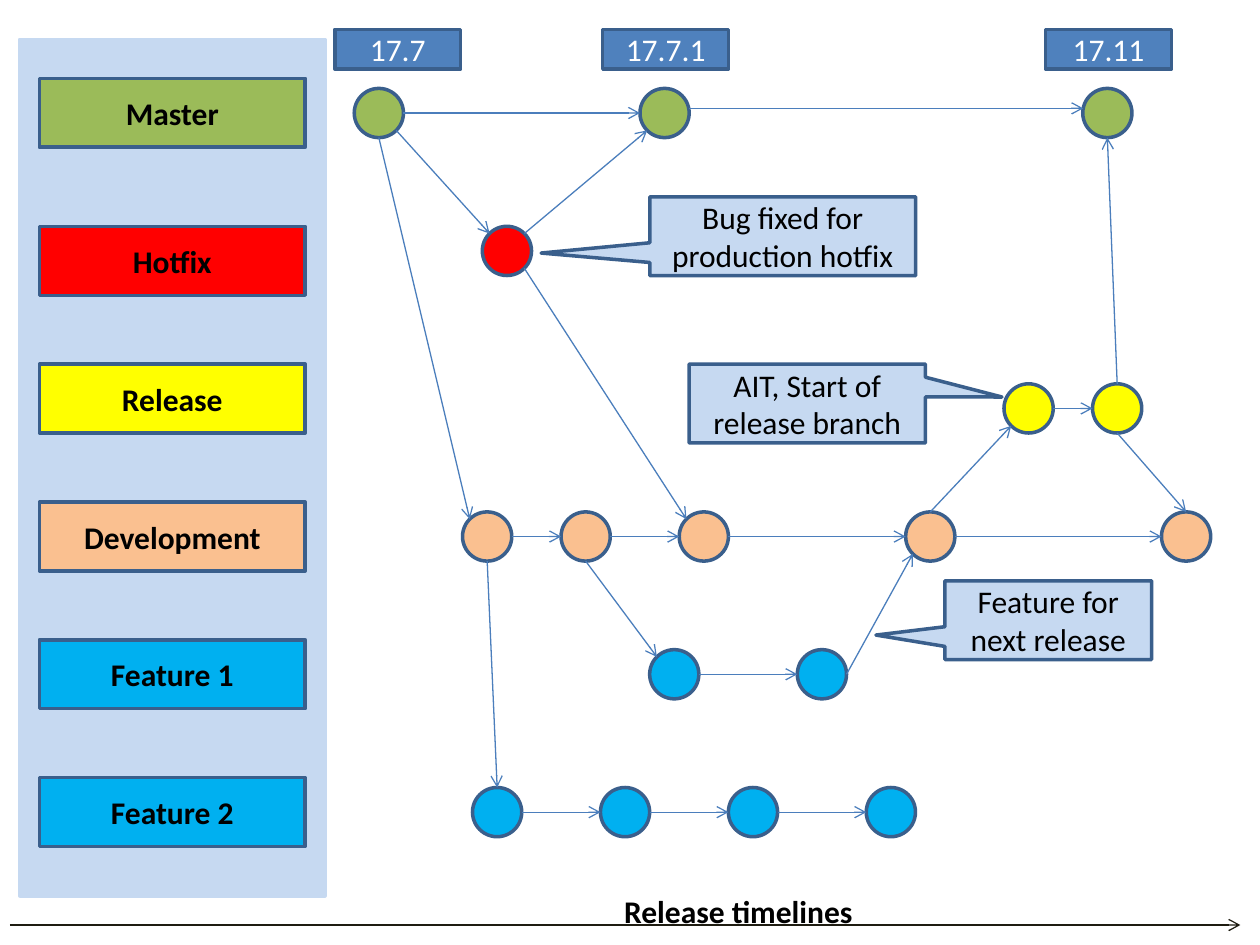
"""Build a release branching diagram with its branches, commits and timeline."""
from dataclasses import dataclass
from itertools import pairwise
from math import cos, radians, sin
from typing import NamedTuple

from lxml.etree import SubElement
from pptx import Presentation
from pptx.dml.color import RGBColor
from pptx.enum.shapes import MSO_CONNECTOR, MSO_SHAPE
from pptx.enum.text import MSO_ANCHOR, PP_ALIGN
from pptx.oxml.ns import qn
from pptx.util import Pt

BLACK = RGBColor(0x00, 0x00, 0x00)
WHITE = RGBColor(0xFF, 0xFF, 0xFF)
PALE_BLUE = RGBColor(0xC6, 0xD9, 0xF1)
GREEN = RGBColor(0x9B, 0xBB, 0x59)
RED = RGBColor(0xFF, 0x00, 0x00)
YELLOW = RGBColor(0xFF, 0xFF, 0x00)
ORANGE = RGBColor(0xFA, 0xC0, 0x90)
SKY = RGBColor(0x00, 0xB0, 0xF0)
BLUE = RGBColor(0x4F, 0x81, 0xBD)
OUTLINE = RGBColor(0x3A, 0x5F, 0x8C)
ARROW = RGBColor(0x4B, 0x7E, 0xBC)
TIMELINE = RGBColor(0x1E, 0x1C, 0x11)

RADIUS = 14.06
TOP, TOP_RIGHT, RIGHT, BOTTOM_RIGHT = 270, 315, 0, 45
BOTTOM, BOTTOM_LEFT, LEFT, TOP_LEFT = 90, 135, 180, 225


class Point(NamedTuple):
    x: float
    y: float


class Area(NamedTuple):
    left: float
    top: float
    width: float
    height: float


@dataclass(frozen=True)
class Branch:
    name: str
    color: RGBColor
    label_top: float
    center_y: float
    commits: tuple[float, ...]
    lifts: tuple[int, ...] = ()


class Link(NamedTuple):
    source: tuple[str, int]
    source_angle: float
    target: tuple[str, int]
    target_angle: float


class Callout(NamedTuple):
    text: str
    area: Area
    tip: tuple[float, float]


BRANCHES = (
    Branch("Master", GREEN, 44.8, 64.6, (216.5, 379.8, 632.8), (0, 11)),
    Branch("Hotfix", RED, 129.4, 143.4, (289.7,)),
    Branch("Release", YELLOW, 208.1, 233.4, (587.8, 638.4)),
    Branch("Development", ORANGE, 286.9, 306.6, (278.4, 334.7, 402.2, 531.6, 677.8)),
    Branch("Feature 1", SKY, 365.6, 385.3, (385.3, 469.7)),
    Branch("Feature 2", SKY, 444.4, 464.1, (284.1, 357.2, 430.3, 509.1)),
)
LINKS = (
    Link(("Master", 0), BOTTOM, ("Development", 0), TOP_LEFT),
    Link(("Master", 0), BOTTOM_RIGHT, ("Hotfix", 0), TOP_LEFT),
    Link(("Hotfix", 0), BOTTOM_RIGHT, ("Development", 2), TOP_LEFT),
    Link(("Hotfix", 0), TOP_RIGHT, ("Master", 1), BOTTOM_LEFT),
    Link(("Development", 3), TOP, ("Release", 0), BOTTOM_LEFT),
    Link(("Release", 1), TOP, ("Master", 2), BOTTOM),
    Link(("Release", 1), BOTTOM, ("Development", 4), TOP),
    Link(("Development", 0), BOTTOM, ("Feature 2", 0), TOP),
    Link(("Development", 1), BOTTOM, ("Feature 1", 0), TOP_LEFT),
    Link(("Feature 1", 1), RIGHT, ("Development", 3), BOTTOM_LEFT),
)
VERSIONS = {"17.7": 191.3, "17.7.1": 344.4, "17.11": 597.5}
CALLOUTS = (
    Callout("Bug fixed for production hotfix", Area(371.3, 112.5, 151.9, 45), (-0.909, 0.214)),
    Callout("Feature for next release", Area(540, 331.9, 118.1, 45), (-0.834, 0.189)),
    Callout("AIT, Start of release branch", Area(393.8, 208.1, 135, 45), (0.824, -0.082)),
)


def write_text(shape, text: str, color: RGBColor, bold: bool) -> None:
    frame = shape.text_frame
    frame.text = text
    frame.word_wrap = True
    frame.vertical_anchor = MSO_ANCHOR.MIDDLE
    para = frame.paragraphs[0]
    para.alignment = PP_ALIGN.CENTER
    font = para.runs[0].font
    font.name, font.size, font.bold = "Calibri", Pt(18), bold
    font.color.rgb = color


def draw_shape(page, kind: MSO_SHAPE, area: Area, fill: RGBColor, line: RGBColor = OUTLINE):
    shape = page.shapes.add_shape(kind, *map(Pt, area))
    shape.shadow.inherit = False
    shape.fill.solid()
    shape.fill.fore_color.rgb = fill
    shape.line.color.rgb = line
    shape.line.width = Pt(2)
    return shape


def draw_arrow(page, start: Point, end: Point, color: RGBColor = ARROW) -> None:
    arrow = page.shapes.add_connector(MSO_CONNECTOR.STRAIGHT, *map(Pt, (*start, *end)))
    arrow.line.color.rgb = color
    arrow.line.width = Pt(0.75)
    SubElement(arrow.line._get_or_add_ln(), qn("a:tailEnd"), type="arrow")
    SubElement(arrow._element.spPr, qn("a:effectLst"))


def rim(center: Point, angle: float) -> Point:
    turn = radians(angle)
    return Point(center.x + RADIUS * cos(turn), center.y + RADIUS * sin(turn))


def draw_branch(page, branch: Branch) -> list[Point]:
    label = draw_shape(page, MSO_SHAPE.RECTANGLE, Area(22.5, branch.label_top, 151.9, 39.4), branch.color)
    write_text(label, branch.name, BLACK, True)
    centers = [Point(x, branch.center_y) for x in branch.commits]
    for center in centers:
        area = Area(center.x - RADIUS, center.y - RADIUS, 2 * RADIUS, 2 * RADIUS)
        draw_shape(page, MSO_SHAPE.OVAL, area, branch.color)
    lifts = branch.lifts or (0,) * len(centers)
    for (start, end), lift in zip(pairwise(centers), lifts):
        draw_arrow(page, rim(start, RIGHT - lift), rim(end, LEFT + lift))
    return centers


def draw_callout(page, callout: Callout) -> None:
    box = draw_shape(page, MSO_SHAPE.RECTANGULAR_CALLOUT, callout.area, PALE_BLUE)
    box.adjustments[0], box.adjustments[1] = callout.tip
    write_text(box, callout.text, BLACK, False)


def main() -> None:
    deck = Presentation()
    deck.slide_width, deck.slide_height = Pt(720), Pt(540)
    page = deck.slides.add_slide(deck.slide_layouts[6])

    draw_shape(page, MSO_SHAPE.RECTANGLE, Area(11.3, 22.5, 174.4, 489.4), PALE_BLUE, PALE_BLUE)
    commits = {branch.name: draw_branch(page, branch) for branch in BRANCHES}
    for link in LINKS:
        source, target = (commits[name][index] for name, index in (link.source, link.target))
        draw_arrow(page, rim(source, link.source_angle), rim(target, link.target_angle))

    for version, left in VERSIONS.items():
        box = draw_shape(page, MSO_SHAPE.RECTANGLE, Area(left, 16.9, 72, 22.5), BLUE)
        write_text(box, version, WHITE, False)
    for callout in CALLOUTS:
        draw_callout(page, callout)

    draw_arrow(page, Point(5.6, 528.6), Point(708.8, 528.6), TIMELINE)
    caption = page.shapes.add_textbox(*map(Pt, (326.3, 505.7, 191.3, 29.1)))
    write_text(caption, "Release timelines", BLACK, True)
    deck.save("out.pptx")


if __name__ == "__main__":
    main()
